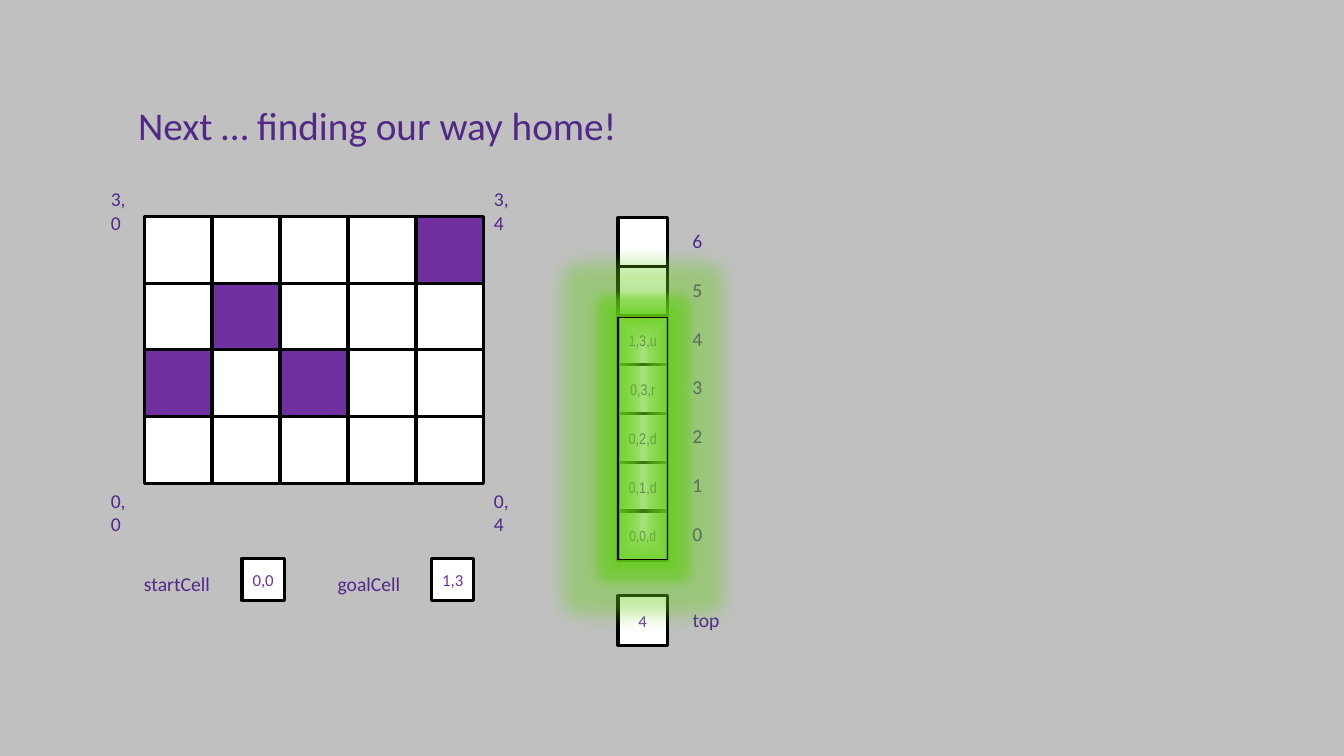
from dataclasses import dataclass

from lxml import etree
from pptx import Presentation
from pptx.dml.color import RGBColor
from pptx.enum import shapes, text
from pptx.oxml import ns
from pptx.util import Inches, Pt


@dataclass(frozen=True)
class Theme:
    backdrop: RGBColor = RGBColor(0xC0, 0xC0, 0xC0)
    heading: RGBColor = RGBColor(0x51, 0x28, 0x88)
    accent: RGBColor = RGBColor(0x70, 0x30, 0xA0)
    paper: RGBColor = RGBColor(0xFF, 0xFF, 0xFF)
    ink: RGBColor = RGBColor(0, 0, 0)
    glow: str = "64CF18"
    font: str = "Calibri"
    narrow: str = "Arial Narrow"
    title_size: float = 28
    label_size: float = 14
    value_size: float = 12
    entry_size: float = 11
    first_entry_size: float = 10.5


THEME = Theme()
WALLS = {(3, 4), (2, 1), (1, 0), (1, 2)}
STACK = ["0,0,d", "0,1,d", "0,2,d", "0,3,r", "1,3,u", "", ""]


def write(frame, words, size, color, font=THEME.font):
    span = frame.paragraphs[0].add_run()
    span.text = words
    span.font.size = Pt(size)
    span.font.name = font
    span.font.color.rgb = color


def add_label(page, left, top, width, words, wrap=False):
    box = page.shapes.add_textbox(Inches(left), Inches(top), Inches(width), Inches(0.34))
    box.text_frame.word_wrap = wrap
    write(box.text_frame, words, THEME.label_size, THEME.heading)


def add_cell(page, left, top, size, words="", fill=THEME.paper,
             text_size=THEME.value_size, font=THEME.font):
    cell = page.shapes.add_shape(shapes.MSO_SHAPE.RECTANGLE, Inches(left), Inches(top),
                                 Inches(size), Inches(size))
    cell.shadow.inherit = False
    cell.fill.solid()
    cell.fill.fore_color.rgb = fill
    cell.line.color.rgb = THEME.ink
    cell.line.width = Pt(2.25)
    if words:
        frame = cell.text_frame
        frame.margin_left = frame.margin_right = 0
        frame.vertical_anchor = text.MSO_ANCHOR.MIDDLE
        frame.paragraphs[0].alignment = text.PP_ALIGN.CENTER
        write(frame, words, text_size, THEME.accent, font)


def add_title(page, left, top, width, height):
    title = page.shapes.title
    title.left, title.top = Inches(left), Inches(top)
    title.width, title.height = Inches(width), Inches(height)
    frame = title.text_frame
    frame.word_wrap = False
    frame.auto_size = text.MSO_AUTO_SIZE.NONE
    frame.vertical_anchor = text.MSO_ANCHOR.TOP
    frame.paragraphs[0].alignment = text.PP_ALIGN.LEFT
    write(frame, "Next … finding our way home!", THEME.title_size, THEME.heading)


def add_maze(page, left, top, width, height, rows=4, columns=5):
    """Draw the maze with row 0 at the bottom and a label at each corner."""
    step_x, step_y = width / columns, height / rows
    for line in range(rows):
        row = rows - 1 - line
        for column in range(columns):
            fill = THEME.accent if (row, column) in WALLS else THEME.paper
            add_cell(page, left + column * step_x, top + line * step_y, 0.67, fill=fill)
    for row, label_top in ((rows - 1, top - 0.34), (0, top + height + 0.01)):
        for column, label_left in ((0, left - 0.43), (columns - 1, left + width)):
            add_label(page, label_left, label_top, 0.42, f"{row},{column}", wrap=True)


def add_variable(page, left, top, label_width, cell_offset, name, value):
    add_label(page, left, top + 0.08, label_width, name)
    add_cell(page, left + cell_offset, top, 0.42, value)


def add_stack(page, left, top, height, size=0.49):
    """Draw the stack with entry 0 at the bottom, and the top counter below it."""
    step = (height - size) / (len(STACK) - 1)
    for index, entry in reversed(list(enumerate(STACK))):
        cell_top = top + (len(STACK) - 1 - index) * step
        text_size = THEME.entry_size if index else THEME.first_entry_size
        add_cell(page, left, cell_top, size, entry, text_size=text_size, font=THEME.narrow)
        add_label(page, left + 0.64, cell_top + 0.06, 0.3, str(index))
    counter_top = top + height + 0.35
    add_cell(page, left, counter_top, size, "4")
    add_label(page, left + 0.64, counter_top + 0.07, 0.48, "top")


def add_glowing_frame(page, left, top, width, height):
    """Outline the used entries with a wide and a tight glow."""
    for radius in (0.37, 0.14):
        frame = page.shapes.add_shape(shapes.MSO_SHAPE.RECTANGLE, Inches(left), Inches(top),
                                      Inches(width), Inches(height))
        frame.fill.background()
        frame.line.color.rgb = THEME.ink
        frame.line.width = Pt(1)
        effects = etree.SubElement(frame._element.spPr, ns.qn("a:effectLst"))
        glow = etree.SubElement(effects, ns.qn("a:glow"), rad=str(Inches(radius)))
        color = etree.SubElement(glow, ns.qn("a:srgbClr"), val=THEME.glow)
        etree.SubElement(color, ns.qn("a:alpha"), val="40000")


def build_maze_slide(deck):
    page = deck.slides.add_slide(deck.slide_layouts[5])
    page.background.fill.solid()
    page.background.fill.fore_color.rgb = THEME.backdrop
    add_title(page, 1.27, 0.95, 5.21, 0.57)
    add_maze(page, 1.43, 2.15, 3.37, 2.64)
    add_variable(page, 1.33, 5.54, 0.87, 1.07, "startCell", "0,0")
    add_variable(page, 3.25, 5.54, 0.83, 1.03, "goalCell", "1,3")
    add_stack(page, 6.13, 2.16, 3.4)
    add_glowing_frame(page, 6.13, 3.15, 0.49, 2.4)


def main():
    deck = Presentation()
    deck.slide_width, deck.slide_height = Inches(13.33), Inches(7.5)
    build_maze_slide(deck)
    deck.save("out.pptx")


if __name__ == "__main__":
    main()
